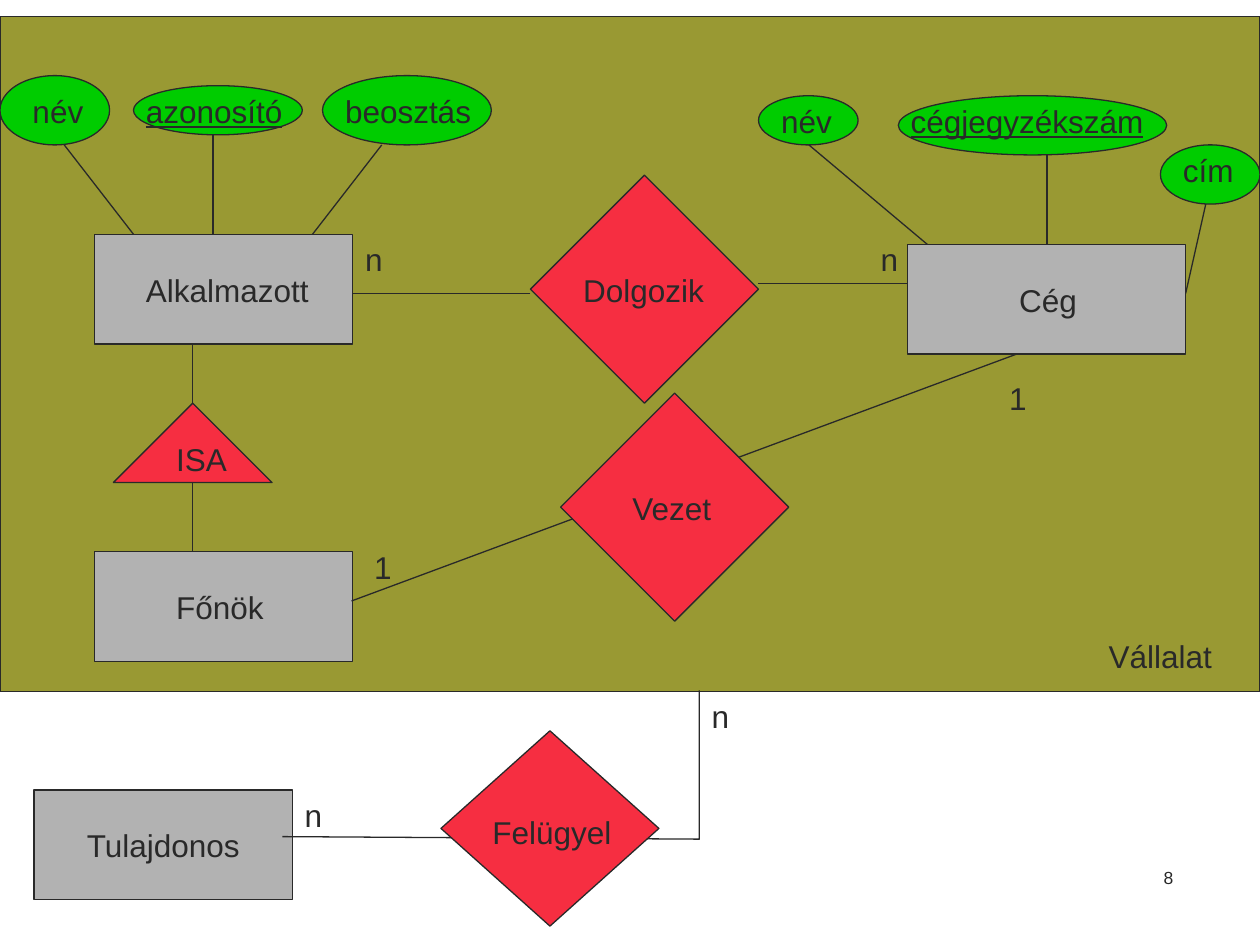
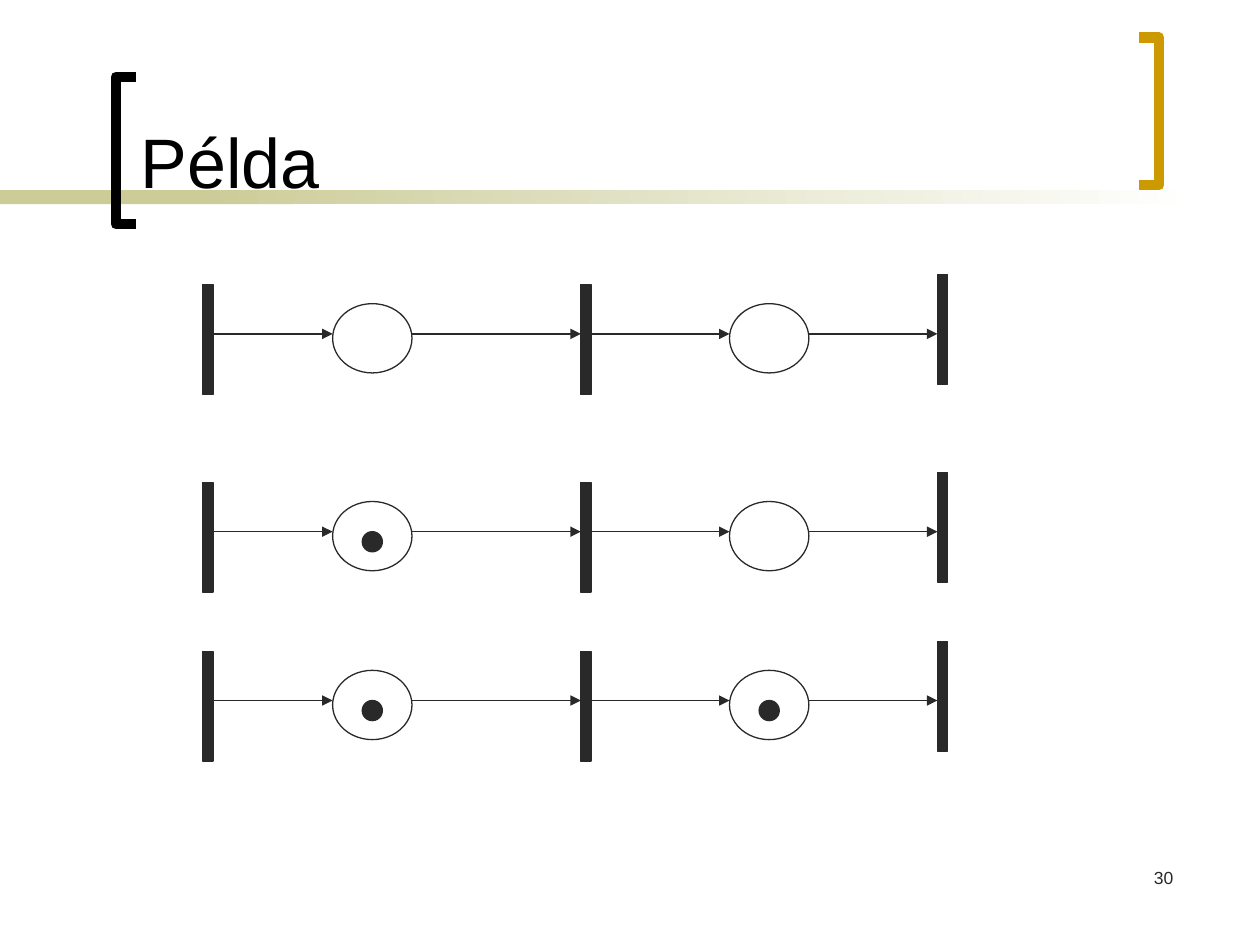
"""Build two slides: an entity-relationship diagram and a Petri net example."""
import lxml.etree
import pptx
import pptx.dml.color
import pptx.enum.shapes
import pptx.enum.text
import pptx.oxml.ns
import pptx.util

Inches = pptx.util.Inches
Pt = pptx.util.Pt
SHAPE = pptx.enum.shapes.MSO_SHAPE
ALIGN = pptx.enum.text.PP_ALIGN
ANCHOR = pptx.enum.text.MSO_ANCHOR

COLOURS = {
    "ink": "292929", "black": "000000", "white": "FFFFFF", "gold": "CC9900",
    "band": "CCCC99", "company": "999933", "entity": "B2B2B2",
    "attribute": "00CC00", "relation": "F62E41",
}
FONT = "Arial"
LINE_WIDTH = 0.75
LABEL_HEIGHT = 0.4
PAGE_NUMBERS = {"diagram": "8", "petri": "30"}

KINDS = {
    "company": SHAPE.RECTANGLE, "entity": SHAPE.RECTANGLE,
    "attribute": SHAPE.OVAL, "relation": SHAPE.DIAMOND,
    "isa": SHAPE.ISOSCELES_TRIANGLE,
}
BACK_NODES = [
    ("company", (0, 0.13, 10, 5.36), "Vállalat", (8.7, 5.01, 1.18)),
    ("entity", (0.75, 1.86, 2.05, 0.87), "Alkalmazott", (1.06, 2.1, 1.49)),
    ("entity", (7.2, 1.94, 2.21, 0.87), "Cég", (7.99, 2.18, 0.79)),
    ("entity", (0.75, 4.38, 2.05, 0.87), "Főnök", (1.3, 4.62, 1.02)),
    ("entity", (0.27, 6.27, 2.05, 0.87), "Tulajdonos", (0.59, 6.51, 1.49)),
    ("attribute", (0, 0.6, 0.87, 0.55), "név", (0.16, 0.68, 0.63)),
    ("attribute", (1.06, 0.68, 1.34, 0.39), "azonosító", (1.06, 0.68, 1.5)),
    ("attribute", (2.56, 0.6, 1.34, 0.55), "beosztás", (2.64, 0.68, 1.34)),
    ("attribute", (6.02, 0.76, 0.79, 0.39), "név", (6.1, 0.76, 0.79)),
    ("attribute", (7.13, 0.76, 2.13, 0.47), "cégjegyzékszám", (7.13, 0.76, 2.2)),
    ("attribute", (9.21, 1.15, 0.79, 0.47), "cím", (9.29, 1.15, 0.63)),
]
FRONT_NODES = [
    ("relation", (4.21, 1.39, 1.81, 1.81), "Dolgozik", (4.53, 2.1, 1.26)),
    ("relation", (4.45, 3.12, 1.81, 1.81), "Vezet", (4.92, 3.83, 0.87)),
    ("relation", (3.5, 5.8, 1.73, 1.55), "Felügyel", (3.81, 6.4, 1.2)),
    ("isa", (0.9, 3.2, 1.26, 0.63), "ISA", (1.3, 3.44, 0.71)),
]
KEY_ATTRIBUTES = {"azonosító", "cégjegyzékszám"}
LINKS = [
    ((1.06, 1.86), (0.51, 1.15)), ((1.69, 1.86), (1.69, 1.07)),
    ((2.48, 1.86), (3.03, 1.15)), ((7.36, 1.94), (6.42, 1.15)),
    ((8.31, 1.94), (8.31, 1.23)), ((9.41, 2.33), (9.57, 1.62)),
    ((4.21, 2.33), (2.8, 2.33)), ((6.02, 2.25), (7.2, 2.25)),
    ((1.53, 4.38), (1.53, 2.73)), ((8.07, 2.81), (2.79, 4.77)),
]
SUPERVISION_LINK = [(5.55, 5.48), (5.55, 6.66), (2.24, 6.64)]
CARDINALITIES = [
    ("n", 2.8, 1.86), ("n", 6.89, 1.86), ("1", 2.87, 4.3),
    ("1", 7.91, 2.96), ("n", 2.32, 6.27), ("n", 5.55, 5.48),
]

TITLE = "Példa"
BRACKETS = [
    ("black", [(1.08, 1.78), (0.92, 1.78), (0.92, 0.61), (1.08, 0.61)]),
    ("gold", [(9.04, 0.3), (9.2, 0.3), (9.2, 1.47), (9.04, 1.47)]),
]
BAR = (0.08, 0.87)
PLACE = (0.63, 0.55)
TOKEN = 0.16
TRANSITIONS = [(1.61, -0.39), (4.61, -0.39), (7.44, -0.47)]
PLACES = [2.64, 5.79]
PLACE_RISE = 0.24
NET_ROWS = [(2.65, ()), (4.22, (0,)), (5.56, (0, 1))]


def colour(name):
    return pptx.dml.color.RGBColor.from_string(COLOURS[name])


def set_line(shape, name="ink", width=LINE_WIDTH):
    shape.line.color.rgb = colour(name)
    shape.line.width = Pt(width)


def add_box(shapes, kind, box, fill, outlined=True):
    shape = shapes.add_shape(kind, *map(Inches, box))
    shape.shadow.inherit = False
    shape.fill.solid()
    shape.fill.fore_color.rgb = colour(fill)
    if outlined:
        set_line(shape)
    else:
        shape.line.fill.background()
    return shape


def add_text(shapes, text, box, size=18, name="ink", underline=None,
             align=ALIGN.LEFT, anchor=ANCHOR.TOP, right=0):
    frame = shapes.add_textbox(*map(Inches, box)).text_frame
    frame_format = {"word_wrap": True, "vertical_anchor": anchor,
                    "margin_right": Inches(right)}
    for attribute, value in frame_format.items():
        setattr(frame, attribute, value)
    paragraph = frame.paragraphs[0]
    paragraph.alignment = align
    run = paragraph.add_run()
    run.text = text
    font_format = {"name": FONT, "size": Pt(size), "underline": underline}
    for attribute, value in font_format.items():
        setattr(run.font, attribute, value)
    run.font.color.rgb = colour(name)


def add_line(slide, start, end, arrow=False):
    points = map(Inches, (*start, *end))
    connector = slide.shapes.add_connector(
        pptx.enum.shapes.MSO_CONNECTOR.STRAIGHT, *points)
    set_line(connector)
    qualified = pptx.oxml.ns.qn
    properties = connector._element.spPr
    lxml.etree.SubElement(properties, qualified("a:effectLst"))
    if arrow:
        outline = properties.find(qualified("a:ln"))
        lxml.etree.SubElement(outline, qualified("a:tailEnd"), type="triangle")


def add_polyline(slide, points, name="ink", width=LINE_WIDTH):
    corners = [(Inches(x), Inches(y)) for x, y in points]
    builder = slide.shapes.build_freeform(*corners[0])
    builder.add_line_segments(corners[1:], close=False)
    shape = builder.convert_to_shape()
    shape.shadow.inherit = False
    shape.fill.background()
    set_line(shape, name, width)


def add_page_number(slide, number):
    add_text(slide.shapes, number, (7.33, 6.83, 2.08, 0.5), size=10,
             align=ALIGN.RIGHT, right=0.1)


def add_title(slide, title):
    add_box(slide.shapes, SHAPE.RECTANGLE, (0, 1.51, 2.33, 0.11), "band", False)
    fade = add_box(slide.shapes, SHAPE.RECTANGLE, (1.58, 1.51, 7.92, 0.11),
                   "band", False)
    fade.fill.gradient()
    fade.fill.gradient_angle = 0
    for stop, position, name in zip(fade.fill.gradient_stops, (0, 1), ("band", "white")):
        stop.position = position
        stop.color.rgb = colour(name)
    for name, points in BRACKETS:
        add_polyline(slide, points, name, 6)
    add_text(slide.shapes, title, (1.02, 0.11, 7.83, 1.55), size=40,
             name="black", anchor=ANCHOR.BOTTOM)


def add_nodes(slide, nodes):
    for kind, box, text, label in nodes:
        group = slide.shapes.add_group_shape()
        fill = "relation" if kind == "isa" else kind
        add_box(group.shapes, KINDS[kind], box, fill)
        add_text(group.shapes, text, (*label, LABEL_HEIGHT),
                 underline=text in KEY_ATTRIBUTES or None)


def build_diagram(slide):
    add_page_number(slide, PAGE_NUMBERS["diagram"])
    add_nodes(slide, BACK_NODES)
    for start, end in LINKS:
        add_line(slide, start, end)
    add_polyline(slide, SUPERVISION_LINK)
    add_nodes(slide, FRONT_NODES)
    for text, left, top in CARDINALITIES:
        add_text(slide.shapes, text, (left, top, 0.39, LABEL_HEIGHT))


def build_petri_net(slide):
    add_title(slide, TITLE)
    add_page_number(slide, PAGE_NUMBERS["petri"])
    stations = sorted([(x, x + BAR[0]) for x, _ in TRANSITIONS]
                      + [(x, x + PLACE[0]) for x in PLACES])
    for axis, marked in NET_ROWS:
        for left, offset in TRANSITIONS:
            add_box(slide.shapes, SHAPE.RECTANGLE, (left, axis + offset, *BAR), "ink")
        for index, left in enumerate(PLACES):
            add_box(slide.shapes, SHAPE.OVAL,
                    (left, axis - PLACE_RISE, *PLACE), "white")
            if index in marked:
                token_left = left + (PLACE[0] - TOKEN) / 2
                add_box(slide.shapes, SHAPE.OVAL,
                        (token_left, axis, TOKEN, TOKEN), "ink")
        for (_, start), (end, _) in zip(stations, stations[1:]):
            add_line(slide, (start, axis), (end, axis), arrow=True)


def main():
    presentation = pptx.Presentation()
    presentation.slide_width = Inches(10)
    presentation.slide_height = Inches(7.5)
    for build in (build_diagram, build_petri_net):
        build(presentation.slides.add_slide(presentation.slide_layouts[6]))
    presentation.save("out.pptx")


if __name__ == "__main__":
    main()
